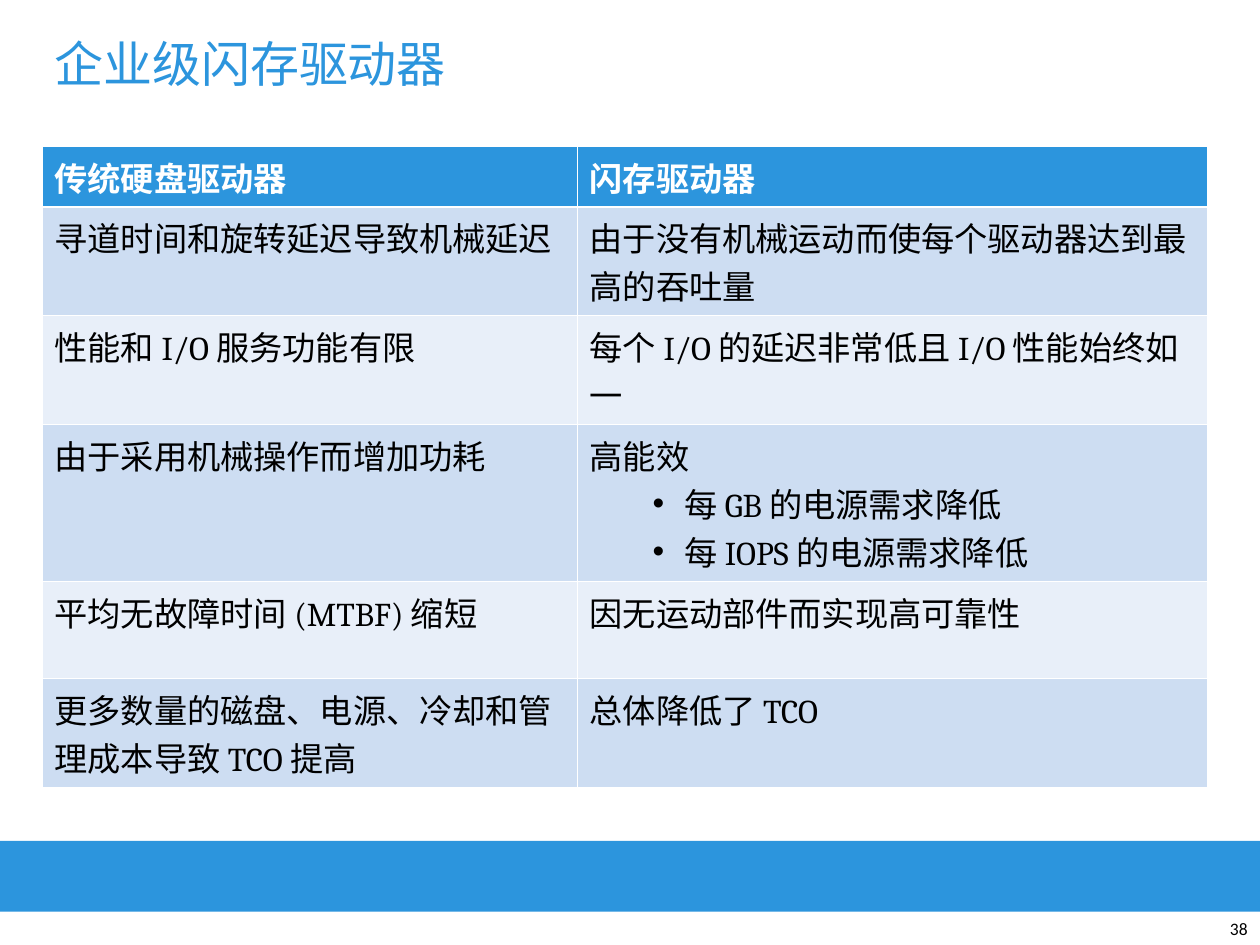
from lxml.etree import SubElement
from pptx import Presentation
from pptx.dml.color import RGBColor
from pptx.enum.shapes import MSO_SHAPE as Shape
from pptx.enum.text import MSO_ANCHOR as Anchor, PP_ALIGN as Align
from pptx.oxml import parse_xml
from pptx.oxml.ns import nsdecls, qn
from pptx.util import Pt

BLUE = RGBColor(0x2C, 0x95, 0xDD)
DARK_BAND = RGBColor(0xCD, 0xDD, 0xF2)
LIGHT_BAND = RGBColor(0xE8, 0xEF, 0xF9)
WHITE = RGBColor(0xFF, 0xFF, 0xFF)
BLACK = RGBColor(0, 0, 0)

CJK_FONT = "Noto Sans CJK SC"
THIN, THICK = 0.45, 1.47
COLUMN_WIDTHS = [305.8, 360]
ROW_HEIGHTS = [34.4, 62.3, 62.3, 89.7, 55.5, 62.3]
# Each cell lists its paragraphs; those after the first are bulleted
ROWS = [
    (["传统硬盘驱动器"], ["闪存驱动器"]),
    (["寻道时间和旋转延迟导致机械延迟"], ["由于没有机械运动而使每个驱动器达到最高的吞吐量"]),
    (["性能和 I/O 服务功能有限"], ["每个 I/O 的延迟非常低且 I/O 性能始终如一"]),
    (["由于采用机械操作而增加功耗"],
     ["高能效", "每 GB 的电源需求降低", "每 IOPS 的电源需求降低"]),
    (["平均无故障时间 (MTBF) 缩短"], ["因无运动部件而实现高可靠性"]),
    (["更多数量的磁盘、电源、冷却和管理成本导致 TCO 提高"], ["总体降低了 TCO"]),
]


def write(para, text, font="Cambria", size=19, color=BLACK, bold=False,
          align=Align.LEFT):
    para.alignment = align
    span = para.add_run()
    span.text = text
    span.font.name = font
    span.font.size = Pt(size)
    span.font.bold = bold
    span.font.color.rgb = color
    SubElement(span.font._element, qn("a:ea"), typeface=CJK_FONT)


def add_bullet(para):
    properties = para._p.get_or_add_pPr()
    properties.set("marL", str(Pt(54)))
    properties.set("indent", str(Pt(-18)))
    SubElement(properties, qn("a:buFont"), typeface="Arial")
    SubElement(properties, qn("a:buChar"), char="•")


def set_borders(cell, top, bottom):
    widths = [("lnL", THIN), ("lnR", THIN), ("lnT", top), ("lnB", bottom)]
    properties = cell._tc.get_or_add_tcPr()
    for position, (side, width) in enumerate(widths):
        properties.insert(position, parse_xml(
            f'<a:{side} {nsdecls("a")} w="{Pt(width)}"><a:solidFill>'
            f'<a:srgbClr val="{WHITE}"/></a:solidFill></a:{side}>'))


def add_text(page, text, left, top, width, height, anchor, **text_format):
    box = page.shapes.add_textbox(Pt(left), Pt(top), Pt(width), Pt(height))
    frame = box.text_frame
    frame.word_wrap = True
    frame.vertical_anchor = anchor
    write(frame.paragraphs[0], text, **text_format)


def add_footer_band(page, left, top, width, height):
    band = page.shapes.add_shape(Shape.RECTANGLE, Pt(left), Pt(top),
                                 Pt(width), Pt(height))
    band.shadow.inherit = False
    band.fill.solid()
    band.fill.fore_color.rgb = BLUE
    band.line.fill.background()


def fill_cell(cell, lines, row):
    header = row == 0
    cell.fill.solid()
    cell.fill.fore_color.rgb = (
        BLUE if header else DARK_BAND if row % 2 else LIGHT_BAND)
    set_borders(cell, top=THICK if row == 1 else THIN,
                bottom=THICK if header else THIN)
    frame = cell.text_frame
    for number, line in enumerate(lines):
        para = frame.add_paragraph() if number else frame.paragraphs[0]
        if number:
            add_bullet(para)
        write(para, line, color=WHITE if header else BLACK, bold=header)


def add_comparison(page, left, top, width, height):
    table = page.shapes.add_table(len(ROWS), len(COLUMN_WIDTHS), Pt(left),
                                  Pt(top), Pt(width), Pt(height)).table
    for column, column_width in zip(table.columns, COLUMN_WIDTHS):
        column.width = Pt(column_width)
    for row, (cells, row_height) in enumerate(zip(ROWS, ROW_HEIGHTS)):
        table.rows[row].height = Pt(row_height)
        for column, lines in enumerate(cells):
            fill_cell(table.cell(row, column), lines, row)


def main():
    deck = Presentation()
    deck.slide_width, deck.slide_height = Pt(720), Pt(540)
    page = deck.slides.add_slide(deck.slide_layouts[6])

    # Footer band
    add_footer_band(page, 0, 480.5, 720, 40.4)
    # Title
    add_text(page, "企业级闪存驱动器", 24, 6, 666, 60, Anchor.MIDDLE,
             font=CJK_FONT, size=28, color=BLUE)
    # Comparison table
    add_comparison(page, 24, 83.8, sum(COLUMN_WIDTHS), sum(ROW_HEIGHTS))
    # Page number
    add_text(page, "38", 684, 522, 36, 18, Anchor.BOTTOM,
             font="Calibri", size=10, align=Align.RIGHT)

    deck.save("out.pptx")


if __name__ == "__main__":
    main()
